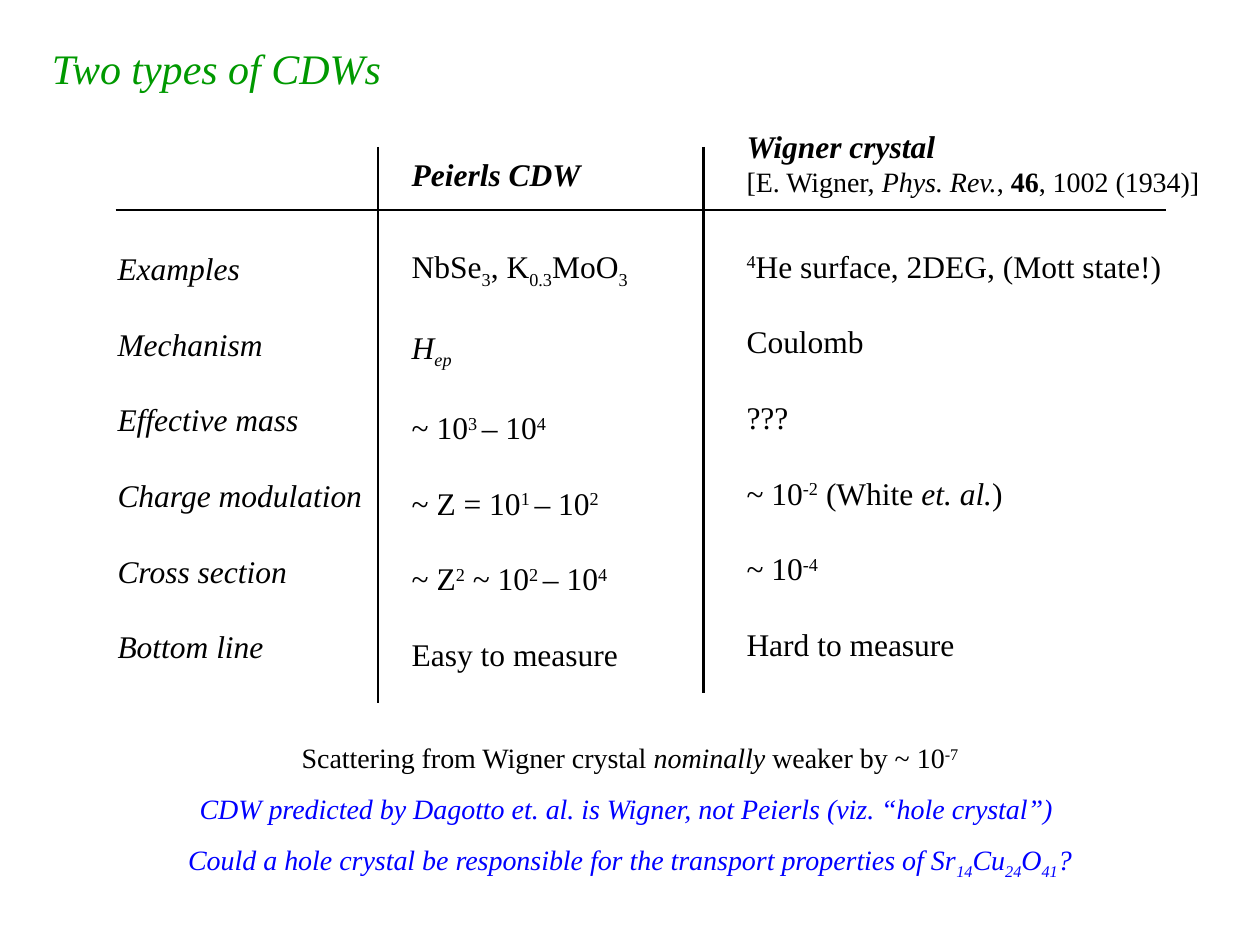
from lxml.etree import SubElement
from pptx import Presentation
from pptx.dml.color import RGBColor
from pptx.enum.shapes import MSO_CONNECTOR
from pptx.enum.text import MSO_ANCHOR, MSO_AUTO_SIZE, PP_ALIGN
from pptx.oxml.ns import qn
from pptx.util import Cm, Pt

FONT = "Times New Roman"
BLACK = RGBColor(0x00, 0x00, 0x00)
GREEN = RGBColor(0x00, 0x99, 0x00)
BLUE = RGBColor(0x00, 0x00, 0xFF)
BASELINES = {"^": "30000", "_": "-25000"}
ROW_GAP = 21.6


def add_runs(paragraph, runs, size, color=BLACK):
    """Add (text, style) runs; style letters: b bold, i italic, ^ superscript, _ subscript."""
    for text, style in runs:
        run = paragraph.add_run()
        run.text = text
        run.font.name = FONT
        run.font.size = Pt(size)
        run.font.color.rgb = color
        run.font.bold = "b" in style
        run.font.italic = "i" in style
        for mark, baseline in BASELINES.items():
            if mark in style:
                run.font._element.set("baseline", baseline)


def add_text(box, paragraphs, gap=0, alignment=PP_ALIGN.LEFT):
    """Add a text box of (runs, size, color) paragraphs with gap points between them."""
    shape = slide.shapes.add_textbox(*[Cm(length) for length in box])
    frame = shape.text_frame
    frame.word_wrap = True
    for index, (runs, size, color) in enumerate(paragraphs):
        paragraph = frame.add_paragraph() if index else frame.paragraphs[0]
        paragraph.alignment = alignment
        if index and gap:
            paragraph.space_before = Pt(gap)
        add_runs(paragraph, runs, size, color)


presentation = Presentation()
presentation.slide_width = Cm(25.4)
presentation.slide_height = Cm(19.05)
slide = presentation.slides.add_slide(presentation.slide_layouts[5])

# Title
title = slide.shapes.title
title.left, title.top, title.width, title.height = Cm(0.79), Cm(0.61), Cm(21.59), Cm(1.5)
title.text_frame.auto_size = MSO_AUTO_SIZE.NONE
title.text_frame.vertical_anchor = MSO_ANCHOR.MIDDLE
title_paragraph = title.text_frame.paragraphs[0]
title_paragraph.alignment = PP_ALIGN.LEFT
add_runs(title_paragraph, [("Two types of CDWs", "i")], 24, GREEN)

# Rules of the comparison grid
for x1, y1, x2, y2 in [
    (2.33, 4.23, 23.5, 4.23),
    (14.18, 2.96, 14.18, 13.97),
    (7.62, 2.96, 7.62, 14.18),
]:
    rule = slide.shapes.add_connector(MSO_CONNECTOR.STRAIGHT, Cm(x1), Cm(y1), Cm(x2), Cm(y2))
    rule.line.color.rgb = BLACK
    rule.line.width = Pt(1.5)
    SubElement(rule._element.spPr, qn("a:effectLst"))

# Column headings
add_text((8.05, 3, 4.24, 1.02), [([("Peierls CDW", "bi")], 18, BLACK)])
citation = [
    ("[E. Wigner, ", ""), ("Phys. Rev.", "i"), (",", ""),
    (" 46", "b"), (", 1002 (1934)]", ""),
]
add_text((14.8, 2.44, 9.96, 1.7), [
    ([("Wigner crystal", "bi")], 18, BLACK),
    (citation, 16, BLACK),
])

# Columns
row_names = [
    "Examples", "Mechanism", "Effective mass",
    "Charge modulation", "Cross section", "Bottom line",
]
peierls = [
    [("NbSe", ""), ("3", "_"), (", K", ""), ("0.3", "_"), ("MoO", ""), ("3", "_")],
    [("H", "i"), ("ep", "i_")],
    [("~ 10", ""), ("3 ", "^"), ("– 10", ""), ("4", "^")],
    [("~ Z = 10", ""), ("1 ", "^"), ("– 10", ""), ("2", "^")],
    [("~ Z", ""), ("2", "^"), (" ~ 10", ""), ("2 ", "^"), ("– 10", ""), ("4", "^")],
    [("Easy to measure", "")],
]
wigner = [
    [("4", "^"), ("He surface, 2DEG, (Mott state!)", "")],
    [("Coulomb", "")],
    [("???", "")],
    [("~ 10", ""), ("-2", "^"), (" (White ", ""), ("et. al.", "i"), (")", "")],
    [("~ 10", ""), ("-4", "^")],
    [("Hard to measure", "")],
]
for box, rows in [
    ((2.12, 4.9, 5.5, 8.64), [[(name, "i")] for name in row_names]),
    ((8.05, 4.85, 5.5, 8.84), peierls),
    ((14.8, 4.85, 9.1, 8.64), wigner),
]:
    add_text(box, [(runs, 18, BLACK) for runs in rows], ROW_GAP)

# Conclusions
scattering = [
    ("Scattering from Wigner crystal ", ""), ("nominally", "i"),
    (" weaker by ~ 10", ""), ("-7", "^"),
]
prediction = [
    ("CDW predicted by Dagotto et. al. is Wigner, not Peierls (viz. “hole crystal”) ", "i"),
]
question = [
    ("Could a hole crystal be responsible for the transport properties of Sr", "i"),
    ("14", "i_"), ("Cu", "i"), ("24", "i_"), ("O", "i"), ("41", "i_"), ("?", "i"),
]
add_text(
    (2.96, 14.81, 19.48, 3.1),
    [(scattering, 16, BLACK), (prediction, 16, BLUE), (question, 16, BLUE)],
    gap=10,
    alignment=PP_ALIGN.CENTER,
)

presentation.save("out.pptx")
